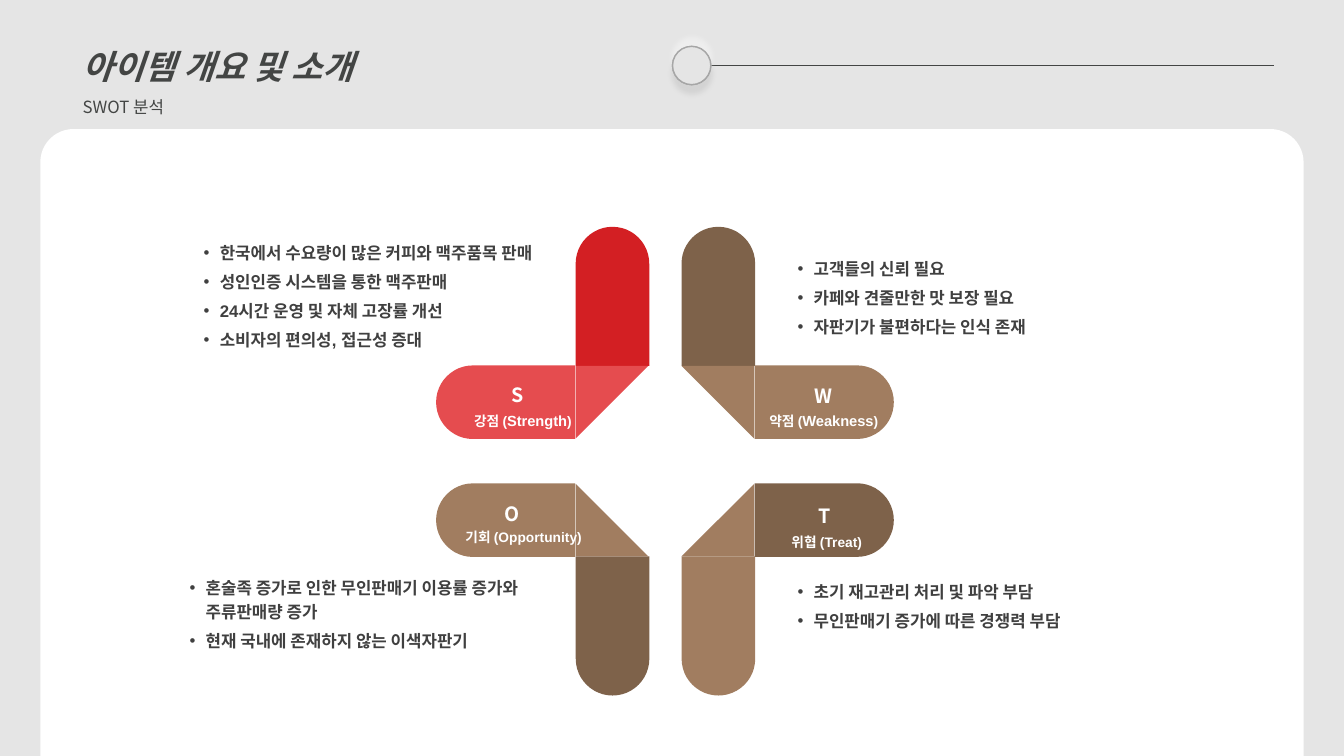
from dataclasses import dataclass
from lxml.etree import SubElement
from pptx import Presentation
from pptx.dml.color import RGBColor
from pptx.enum.shapes import MSO_CONNECTOR as Connector, MSO_SHAPE as Shape
from pptx.enum.text import MSO_ANCHOR as Anchor, MSO_AUTO_SIZE as AutoSize, PP_ALIGN as Align
from pptx.oxml.ns import qn
from pptx.util import Emu, Pt


@dataclass(frozen=True)
class Theme:
    backdrop: str = "E5E5E5"
    knob: str = "E8E8E8"
    rim: str = "A6A6A6"
    heading: str = "434544"
    body: str = "404040"
    white: str = "FFFFFF"
    black: str = "000000"
    red: str = "D31F23"
    coral: str = "E54C4F"
    tan: str = "A17D60"
    brown: str = "7E624A"
    korean: str = "Noto Sans CJK KR"
    latin: str = "Arial"
    title_size: float = 24
    text_size: float = 12
    letter_size: float = 14
    caption_size: float = 9.8
    word_size: float = 10.5


theme = Theme()
small, large = theme.caption_size, theme.word_size

HEADING = [("아이템 개요 및 소개", theme.title_size, True), ("SWOT 분석", theme.text_size, False)]
QUADRANTS = [
    dict(column=0, row=0, upright=theme.red, flat=theme.coral, fold=theme.coral, turn=90,
         letter="S", letter_at=(444, 375),
         caption=[("강점 (", small), ("Strength", large), (")", small)],
         caption_box=(454, 404, 123, 28), align=Align.RIGHT,
         list_box=(192, 232, 390, 117),
         points=["한국에서 수요량이 많은 커피와 맥주품목 판매", "성인인증 시스템을 통한 맥주판매",
                 "24시간 운영 및 자체 고장률 개선", "소비자의 편의성, 접근성 증대"]),
    dict(column=1, row=0, upright=theme.brown, flat=theme.tan, fold=theme.tan, turn=180,
         letter="W", letter_at=(748, 376),
         caption=[("약점 (", small), ("Weakness", large), (")", small)],
         caption_box=(748, 404, 133, 28), align=Align.RIGHT,
         list_box=(781, 248, 395, 90),
         points=["고객들의 신뢰 필요", "카페와 견줄만한 맛 보장 필요", "자판기가 불편하다는 인식 존재"]),
    dict(column=0, row=1, upright=theme.brown, flat=theme.tan, fold=theme.tan, turn=0,
         letter="O", letter_at=(439, 493),
         caption=[("기회 (Opportunity)", small)],
         caption_box=(444, 520, 143, 27), align=Align.RIGHT,
         list_box=(178, 564, 376, 85),
         points=["혼술족 증가로 인한 무인판매기 이용률 증가와 주류판매량 증가",
                 "현재 국내에 존재하지 않는 이색자판기"]),
    dict(column=1, row=1, upright=theme.tan, flat=theme.brown, fold=theme.tan, turn=270,
         letter="T", letter_at=(749, 495),
         caption=[("위협 (Treat)", small)],
         caption_box=(772, 525, 96, 27), align=Align.CENTER,
         list_box=(781, 568, 433, 60),
         points=["초기 재고관리 처리 및 파악 부담", "무인판매기 증가에 따른 경쟁력 부담"]),
]
KNOB_SHADOWS = [(theme.black, 8, 90), (theme.white, 40, 270)]

SCALE = 9144
ARM_WIDTH, ARM_LENGTH, FOLD = 73, 138, 72
UPRIGHT_LEFT, FLAT_LEFT = (571, 676), (465, 781)
UPRIGHT_TOP, FLAT_TOP, FOLD_TOP = (225, 552), (330, 447), (363, 480)


def px(count):
    return Emu(count * SCALE)


def rgb(code):
    return RGBColor.from_string(code)


def add_plain(kind, box, color, turn=0, rounding=None):
    shape = page.shapes.add_shape(kind, *map(px, box))
    shape.shadow.inherit = False
    shape.fill.solid()
    shape.fill.fore_color.rgb = rgb(color)
    shape.line.fill.background()
    shape.rotation = turn
    if rounding is not None:
        shape.adjustments[0] = rounding
        shape.adjustments[1] = 0
    return shape


def prepare_frame(shape, wrap=True):
    frame = shape.text_frame
    frame.word_wrap = wrap
    frame.vertical_anchor = Anchor.TOP
    frame.auto_size = AutoSize.SHAPE_TO_FIT_TEXT
    return frame


def place(shape, box):
    shape.left, shape.top, shape.width, shape.height = map(px, box)
    return prepare_frame(shape)


def add_para(frame, index, align=Align.LEFT, spacing=None, after=0):
    para = frame.paragraphs[0] if index == 0 else frame.add_paragraph()
    para.alignment = align
    para.space_before = Pt(0)
    para.space_after = Pt(after)
    if spacing:
        para.line_spacing = spacing
    return para


def add_span(para, text, size, color, face, bold=True, italic=False):
    span = para.add_run()
    span.text = text
    font = span.font
    font.size, font.bold, font.italic, font.name = Pt(size), bold, italic, face
    font.color.rgb = rgb(color)
    SubElement(font._element, qn("a:ea"), typeface=theme.korean)


def add_bullet(para):
    settings = para._p.get_or_add_pPr()
    settings.set("marL", str(px(16)))
    settings.set("indent", str(-px(16)))
    SubElement(settings, qn("a:buFont"), typeface=theme.latin)
    SubElement(settings, qn("a:buChar"), char="•")


def add_knob(shade, opacity, angle):
    knob = add_plain(Shape.OVAL, (667, 46, 38, 38), theme.knob)
    knob.line.color.rgb = rgb(theme.rim)
    knob.line.width = Pt(1)
    knob.fill.gradient()
    for stop, color in zip(knob.fill.gradient_stops, (theme.knob, theme.backdrop)):
        stop.color.rgb = rgb(color)
    properties = knob._element.spPr
    gradient = properties.find(qn("a:gradFill"))
    gradient.remove(gradient.find(qn("a:lin")))
    circle = SubElement(gradient, qn("a:path"), path="circle")
    SubElement(circle, qn("a:fillToRect"), l="50000", t="50000", r="50000", b="50000")
    shadow = SubElement(properties.find(qn("a:effectLst")), qn("a:outerShdw"),
                        blurRad=str(Pt(4)), dist=str(Pt(6)), dir=str(angle * 60000),
                        algn="ctr", rotWithShape="0")
    tint = SubElement(shadow, qn("a:srgbClr"), val=shade)
    SubElement(tint, qn("a:alpha"), val=str(opacity * 1000))


def add_arms(part):
    column, row = part["column"], part["row"]
    add_plain(Shape.ROUND_2_SAME_RECTANGLE,
              (UPRIGHT_LEFT[column], UPRIGHT_TOP[row], ARM_WIDTH, ARM_LENGTH),
              part["upright"], 180 * row, 0.5)
    add_plain(Shape.RIGHT_TRIANGLE, (UPRIGHT_LEFT[column], FOLD_TOP[row], FOLD, FOLD),
              part["fold"], part["turn"])
    add_plain(Shape.ROUND_2_SAME_RECTANGLE,
              (FLAT_LEFT[column], FLAT_TOP[row], ARM_WIDTH, ARM_LENGTH),
              part["flat"], (270, 90)[column], 0.5)


def add_labels(part):
    letter_box = page.shapes.add_textbox(*map(px, (*part["letter_at"], 138, 34)))
    para = add_para(prepare_frame(letter_box), 0, Align.CENTER)
    add_span(para, part["letter"], theme.letter_size, theme.white, theme.korean)
    caption_box = page.shapes.add_textbox(*map(px, part["caption_box"]))
    para = add_para(prepare_frame(caption_box, False), 0, part["align"])
    for text, size in part["caption"]:
        add_span(para, text, size, theme.white, theme.latin)


def fill_list(holder, part):
    frame = place(holder, part["list_box"])
    for index, point in enumerate(part["points"]):
        para = add_para(frame, index, spacing=1.2, after=3.4)
        add_bullet(para)
        add_span(para, point, theme.text_size, theme.body, theme.latin)


deck = Presentation()
deck.slide_width, deck.slide_height = px(1333), px(750)
page = deck.slides.add_slide(deck.slide_layouts.get_by_name("Comparison"))
page.background.fill.solid()
page.background.fill.fore_color.rgb = rgb(theme.backdrop)

panel = add_plain(Shape.ROUND_2_SAME_RECTANGLE, (40, 128, 1253, 622), theme.white, rounding=0.053)
page.shapes._spTree.insert(2, panel._element)

rule = page.shapes.add_connector(Connector.STRAIGHT, px(673), px(65), px(1264), px(65))
rule.line.color.rgb = rgb(theme.heading)
rule.line.width = Pt(0.5)
SubElement(rule._element.spPr, qn("a:effectLst"))
for knob_shadow in KNOB_SHADOWS:
    add_knob(*knob_shadow)

heading = place(page.shapes.title, (72, 21, 510, 97))
for index, (text, size, strong) in enumerate(HEADING):
    para = add_para(heading, index, spacing=1.5)
    add_span(para, text, size, theme.heading, theme.korean, strong, strong)

for part, number in zip(QUADRANTS, (1, 2, 3, 4)):
    add_arms(part)
    add_labels(part)
    fill_list(page.placeholders[number], part)

deck.save("out.pptx")
